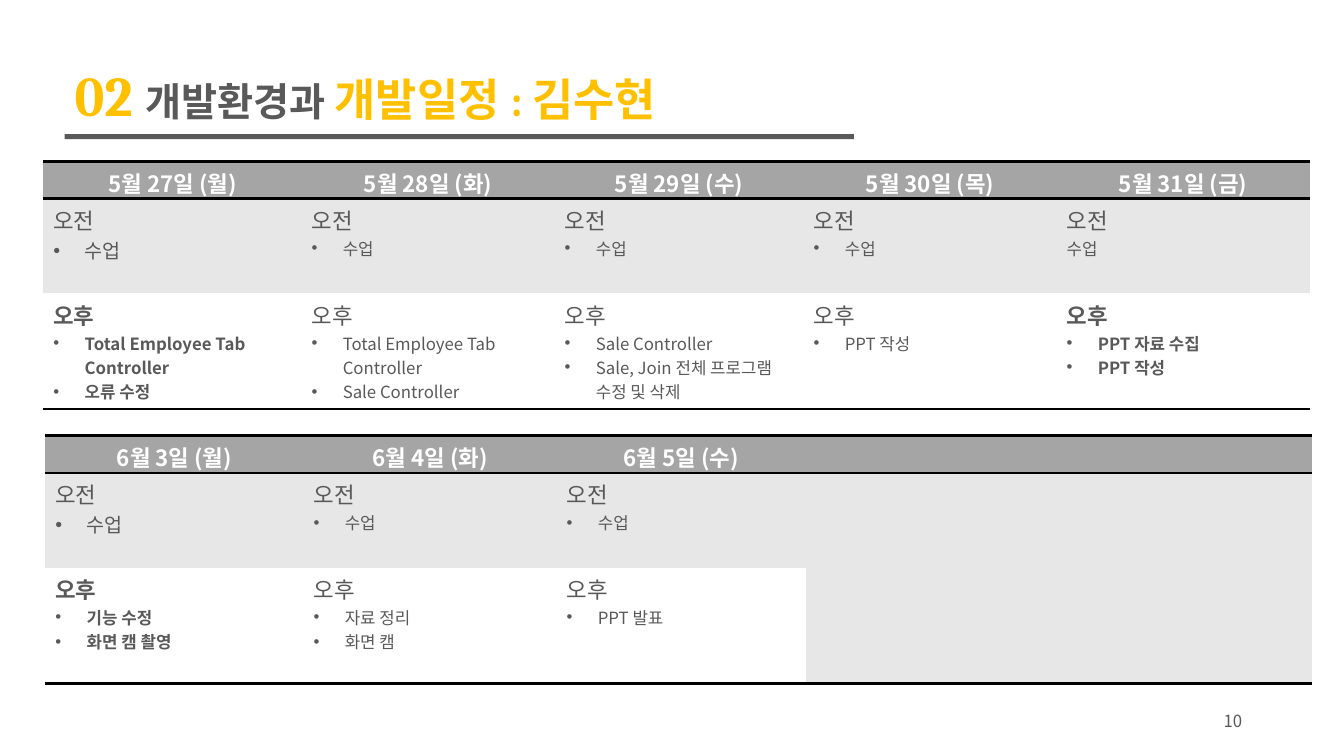
from dataclasses import dataclass
from typing import Any

import lxml.etree
import pptx
import pptx.dml.color
import pptx.enum.shapes
import pptx.enum.text
import pptx.oxml.ns
import pptx.util

Inches = pptx.util.Inches
Align = pptx.enum.text.PP_ALIGN
Anchor = pptx.enum.text.MSO_ANCHOR


@dataclass(frozen=True)
class Theme:
    text: str = "595959"
    accent: str = "FFC000"
    header: str = "A5A5A5"
    morning: str = "E7E7E7"
    white: str = "FFFFFF"
    border: str = "000000"
    heading_font: str = "Cambria"
    body_font: str = "Noto Sans CJK KR"
    number_size: float = 40
    topic_size: float = 28
    gap_size: float = 30
    title_size: float = 32
    label_size: float = 16
    large_item_size: float = 14
    item_size: float = 12
    border_width: float = 2


THEME = Theme()


@dataclass(frozen=True)
class Day:
    date: str
    afternoon: tuple[str, ...]
    bold: bool = False
    morning_size: float = THEME.item_size
    morning_bullet: bool = True


@dataclass(frozen=True)
class Week:
    left: float
    top: float
    days: tuple[Day, ...]


COLUMN_WIDTHS = (2.56, 2.51, 2.47, 2.51, 2.51)
ROW_HEIGHTS = (0.37, 0.94, 1.15)
BULLET_INDENT = 0.31
WEEKS = (
    Week(0.43, 1.6, (
        Day("5월 27일 (월)", ("Total Employee Tab Controller", "오류 수정"), True, THEME.large_item_size),
        Day("5월 28일 (화)", ("Total Employee Tab Controller", "Sale Controller")),
        Day("5월 29일 (수)", ("Sale Controller", "Sale, Join 전체 프로그램 수정 및 삭제")),
        Day("5월 30일 (목)", ("PPT 작성",)),
        Day("5월 31일 (금)", ("PPT 자료 수집", "PPT 작성"), True, morning_bullet=False),
    )),
    Week(0.45, 4.32, (
        Day("6월 3일 (월)", ("기능 수정", "화면 캠 촬영"), True, THEME.large_item_size),
        Day("6월 4일 (화)", ("자료 정리", "화면 캠")),
        Day("6월 5일 (수)", ("PPT 발표",)),
    )),
)
TITLE_RUNS = (
    ("02 ", THEME.number_size, THEME.accent),
    ("개발환경과", THEME.topic_size, THEME.text),
    (" ", THEME.gap_size, THEME.text),
    ("개발일정 : 김수현", THEME.title_size, THEME.accent),
)


def set_values(target: Any, values: dict[str, Any]) -> None:
    for name, value in values.items():
        setattr(target, name, value)


def color(value: str) -> pptx.dml.color.RGBColor:
    return pptx.dml.color.RGBColor.from_string(value)


def add_element(parent: Any, tag: str, **attributes: str) -> Any:
    return lxml.etree.SubElement(parent, pptx.oxml.ns.qn(tag), attributes)


def add_run(paragraph: Any, text: str, size: float, tint: str, bold: bool = False,
            font_name: str = THEME.body_font) -> None:
    run = paragraph.add_run()
    run.text = text
    set_values(run.font, {"size": pptx.util.Pt(size), "bold": bold, "name": font_name})
    run.font.color.rgb = color(tint)
    add_element(run.font._element, "a:ea", typeface=THEME.body_font)


def add_bullet(paragraph: Any) -> None:
    properties = paragraph._p.get_or_add_pPr()
    properties.set("marL", str(Inches(BULLET_INDENT)))
    properties.set("indent", str(-Inches(BULLET_INDENT)))
    add_element(properties, "a:buFont", typeface="Arial")
    add_element(properties, "a:buChar", char="•")


def set_borders(cell: Any, top: bool, bottom: bool) -> None:
    properties = cell._tc.get_or_add_tcPr()
    edges = {"a:lnL": False, "a:lnR": False, "a:lnT": top, "a:lnB": bottom}
    for tag, visible in edges.items():
        width = pptx.util.Pt(THEME.border_width) if visible else 0
        line = add_element(properties, tag, w=str(width))
        if visible:
            fill = add_element(line, "a:solidFill")
            add_element(fill, "a:srgbClr", val=THEME.border)
        else:
            add_element(line, "a:noFill")


def fill_period(cell: Any, label: str, items: tuple[str, ...], size: float,
                bold: bool = False, bullet: bool = True) -> None:
    frame = cell.text_frame
    add_run(frame.paragraphs[0], label, THEME.label_size, THEME.text, bold)
    for item in items:
        paragraph = frame.add_paragraph()
        if bullet:
            add_bullet(paragraph)
        add_run(paragraph, item, size, THEME.text, bold)


def add_week(slide: Any, week: Week) -> None:
    shape = slide.shapes.add_table(
        len(ROW_HEIGHTS), len(COLUMN_WIDTHS), Inches(week.left), Inches(week.top),
        Inches(sum(COLUMN_WIDTHS)), Inches(sum(ROW_HEIGHTS)))
    table = shape.table
    set_values(table, {"first_row": False, "horz_banding": False})
    for column, width in zip(table.columns, COLUMN_WIDTHS):
        column.width = Inches(width)
    for row, height in zip(table.rows, ROW_HEIGHTS):
        row.height = Inches(height)

    for column_index in range(len(COLUMN_WIDTHS)):
        header, morning, afternoon = (table.cell(row, column_index) for row in range(len(ROW_HEIGHTS)))
        is_empty = column_index >= len(week.days)
        if is_empty:
            morning.merge(afternoon)
        set_borders(header, True, True)
        set_borders(morning, True, is_empty)
        set_borders(afternoon, False, True)
        afternoon_fill = THEME.morning if is_empty else THEME.white
        for cell, tint in ((header, THEME.header), (morning, THEME.morning), (afternoon, afternoon_fill)):
            cell.fill.solid()
            cell.fill.fore_color.rgb = color(tint)
        header.margin_bottom = 0
        if is_empty:
            continue
        day = week.days[column_index]
        paragraph = header.text_frame.paragraphs[0]
        paragraph.alignment = Align.CENTER
        add_run(paragraph, day.date, THEME.label_size, THEME.white, True)
        fill_period(morning, "오전", ("수업",), day.morning_size, bullet=day.morning_bullet)
        fill_period(afternoon, "오후", day.afternoon, THEME.item_size, day.bold)


def add_title(slide: Any) -> None:
    title = slide.shapes.title
    set_values(title, {"left": Inches(0.64), "top": Inches(0.55),
                       "width": Inches(6.88), "height": Inches(0.77)})
    set_values(title.text_frame, {"word_wrap": True, "vertical_anchor": Anchor.TOP,
                                  "auto_size": pptx.enum.text.MSO_AUTO_SIZE.NONE})
    paragraph = title.text_frame.paragraphs[0]
    paragraph.alignment = Align.LEFT
    for text, size, tint in TITLE_RUNS:
        add_run(paragraph, text, size, tint, True, THEME.heading_font)
    underline = slide.shapes.add_shape(
        pptx.enum.shapes.MSO_SHAPE.RECTANGLE, Inches(0.64), Inches(1.33), Inches(7.83), Inches(0.05))
    underline.shadow.inherit = False
    underline.fill.solid()
    underline.fill.fore_color.rgb = color(THEME.text)
    underline.line.fill.background()


def add_page_number(slide: Any) -> None:
    box = slide.shapes.add_textbox(Inches(9.42), Inches(6.95), Inches(3), Inches(0.4))
    set_values(box.text_frame, {"word_wrap": True, "vertical_anchor": Anchor.MIDDLE})
    paragraph = box.text_frame.paragraphs[0]
    paragraph.alignment = Align.RIGHT
    add_run(paragraph, "10", THEME.item_size, THEME.text)


def main() -> None:
    presentation = pptx.Presentation()
    set_values(presentation, {"slide_width": Inches(13.33), "slide_height": Inches(7.5)})
    slide = presentation.slides.add_slide(presentation.slide_layouts.get_by_name("Title Only"))
    add_title(slide)
    for week in WEEKS:
        add_week(slide, week)
    add_page_number(slide)
    presentation.save("out.pptx")


if __name__ == "__main__":
    main()
